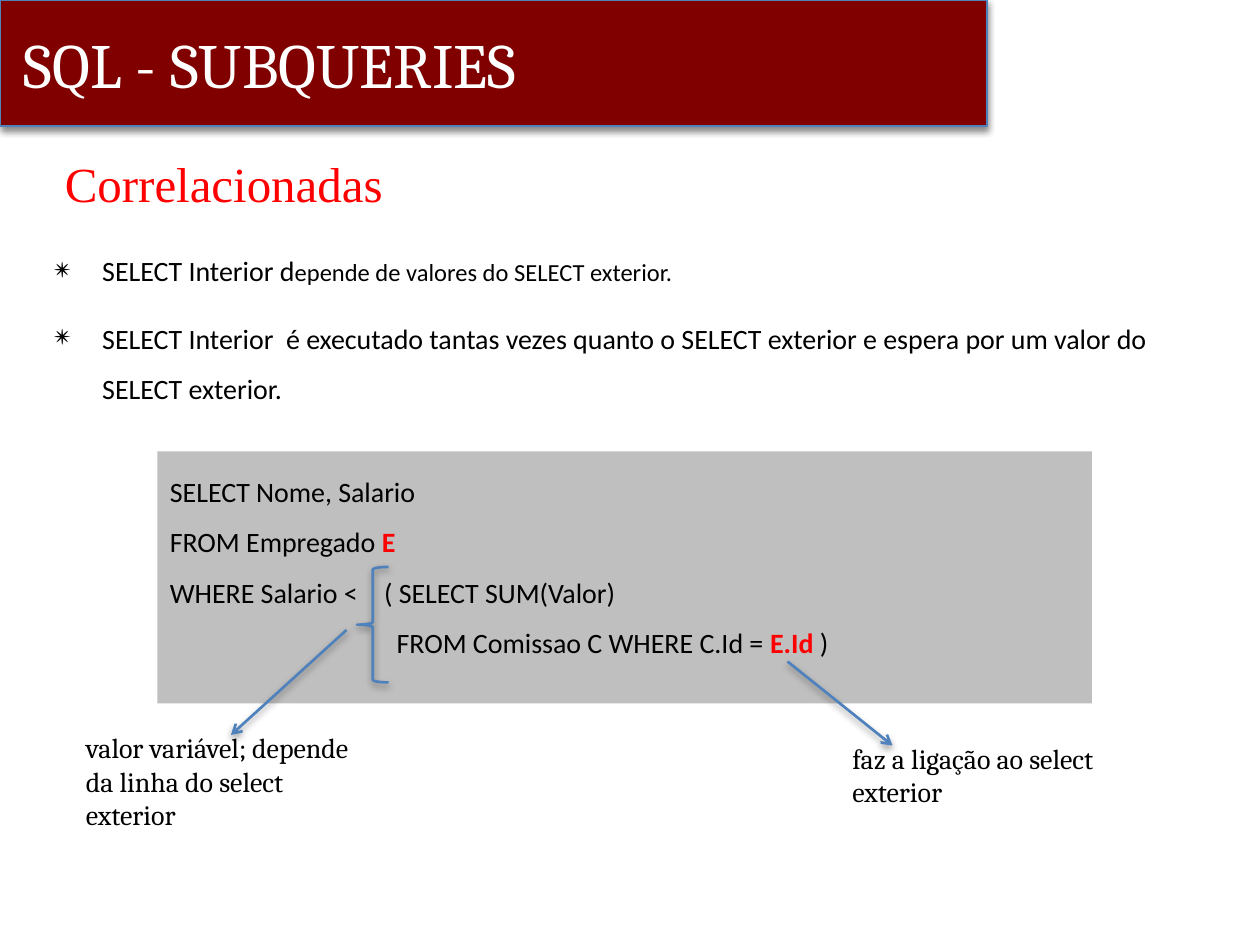
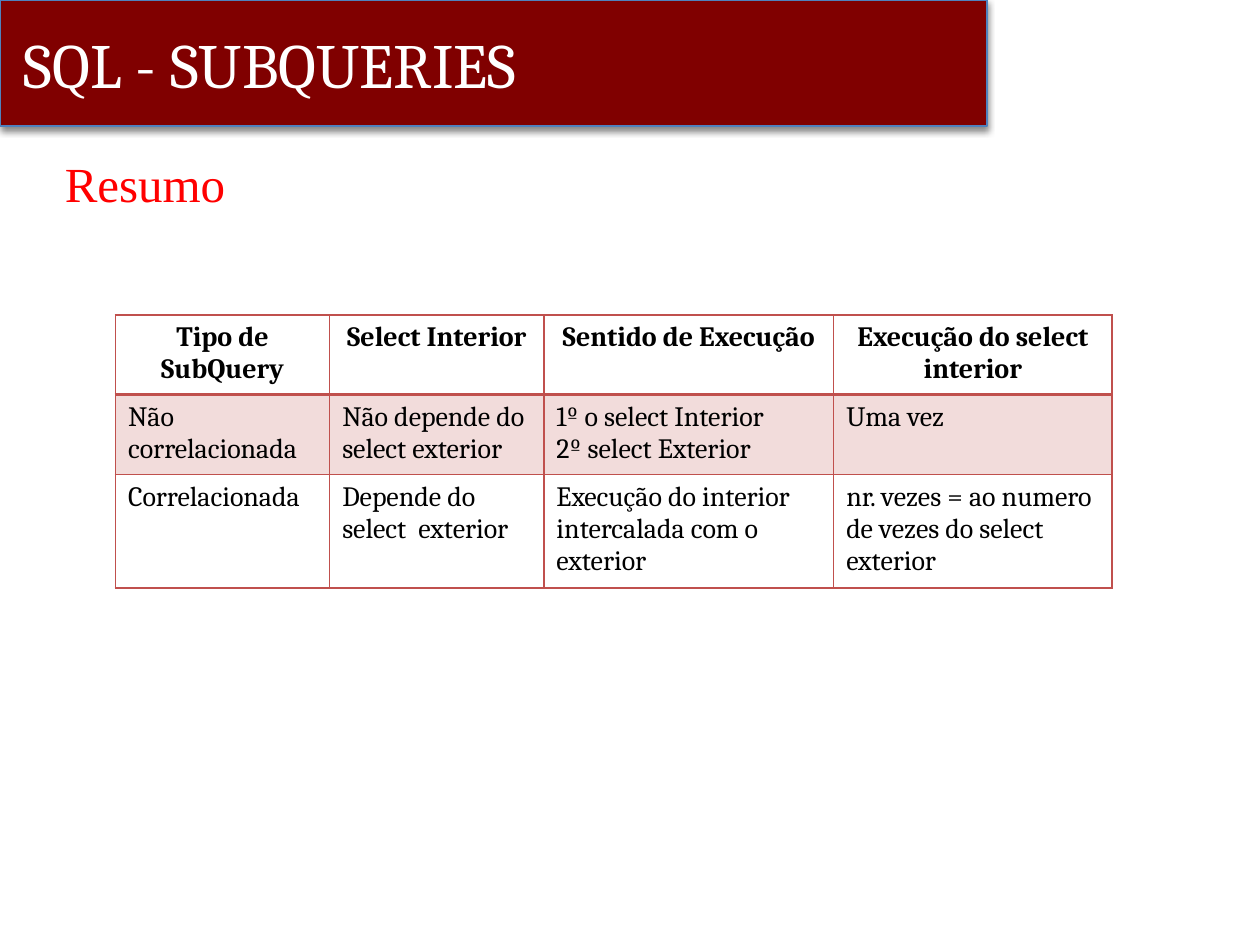
from dataclasses import dataclass
from lxml.etree import SubElement
from pptx import Presentation
from pptx.dml.color import RGBColor
from pptx.enum.shapes import MSO_CONNECTOR, MSO_SHAPE
from pptx.enum.text import MSO_ANCHOR, PP_ALIGN
from pptx.oxml.ns import qn
from pptx.util import Emu, Inches, Pt


@dataclass(frozen=True)
class Theme:
    band: str = "800000"
    accent: str = "4F81BD"
    heading: str = "FF0000"
    text: str = "000000"
    on_band: str = "FFFFFF"
    code_panel: str = "BFBFBF"
    rule: str = "C0504D"
    tinted_row: str = "F2DCDB"
    serif: str = "Cambria"
    sans: str = "Calibri"
    heading_font: str = "Times New Roman"
    band_size: int = 36
    heading_size: int = 28
    body_size: int = 16
    small_size: int = 14


THEME = Theme()
COLUMNS, ROWS = 120, 90
WIDTH, HEIGHT = Inches(10), Inches(7.5)

COURSE_TITLE = "SQL - SUBQUERIES"
BAND_AREA = (0, 0, 94, 12)
HEADING_AREA = (5, 14, 108, 12)

SMALL = {"size": THEME.small_size}
KEY = {"colour": THEME.heading, "bold": True}

CORRELATED = {
    "heading": "Correlacionadas",
    "points_area": (4, 22, 108, 19),
    "points": [
        [("SELECT Interior d", {}), ("epende de valores do SELECT exterior.", SMALL)],
        [("SELECT Interior  é executado tantas vezes quanto o SELECT exterior "
          "e espera por um valor do SELECT exterior.", {})],
    ],
    "query_area": (15, 43, 89, 24),
    "query": [
        (None, [("SELECT Nome, Salario", {})]),
        (None, [("FROM Empregado ", {}), ("E", KEY)]),
        (1.7, [("WHERE Salario <\t( SELECT SUM(Valor)", {})]),
        (1.8, [("\tFROM Comissao C WHERE C.Id = ", {}), ("E.Id ", KEY), (")", {})]),
    ],
    "inner_select_brace": (34, 54, 3, 11),
    "notes": [
        {"text": "faz a ligação ao select exterior",
         "area": (80, 70, 27, 8), "arrow": ((75, 63), (85, 71))},
        {"text": "valor variável; depende da linha do select exterior",
         "area": (7, 69, 28, 11), "arrow": ((33, 60), (22, 70))},
    ],
}

SUMMARY = {
    "heading": "Resumo",
    "area": (11, 30, 95, 25),
    "column_widths": (1.7, 1.7, 2.3, 2.21),
    "row_heights": (0.61, 0.61, 0.87),
    "rows": [
        ["Tipo de SubQuery", "Select Interior", "Sentido de Execução",
         "Execução do select interior"],
        ["Não correlacionada", "Não depende do select exterior",
         "1º o select Interior\n2º select Exterior", "Uma vez"],
        ["Correlacionada", "Depende do select  exterior",
         "Execução do interior intercalada com o exterior",
         "nr. vezes = ao numero de vezes do select exterior"],
    ],
}


def point(column, row):
    return Emu(WIDTH * column // COLUMNS), Emu(HEIGHT * row // ROWS)


def place(area):
    return *point(*area[:2]), *point(*area[2:])


def rgb(colour):
    return RGBColor.from_string(colour)


def style(run, font, size=THEME.body_size, colour=THEME.text, bold=False):
    run.font.name = font
    run.font.size = Pt(size)
    run.font.color.rgb = rgb(colour)
    run.font.bold = bold


def style_all(frame, font, **look):
    for paragraph in frame.paragraphs:
        for run in paragraph.runs:
            style(run, font, **look)


def write_lines(frame, lines):
    for number, pieces in enumerate(lines):
        paragraph = frame.add_paragraph() if number else frame.paragraphs[0]
        paragraph.alignment = PP_ALIGN.LEFT
        paragraph.line_spacing = 1.5
        for text, look in pieces:
            run = paragraph.add_run()
            run.text = text
            style(run, THEME.sans, **look)
        yield paragraph


def add_shadow(shape, alpha, blur):
    effects = shape._element.spPr.find(qn("a:effectLst"))
    if effects is None:
        effects = SubElement(shape._element.spPr, qn("a:effectLst"))
    shadow = SubElement(effects, qn("a:outerShdw"), blurRad=str(Pt(blur)),
                        dist=str(Pt(2)), dir="5400000", rotWithShape="0")
    black = SubElement(shadow, qn("a:srgbClr"), val="000000")
    SubElement(black, qn("a:alpha"), val=str(alpha * 1000))


def add_outline(shape, width):
    shape.line.color.rgb = rgb(THEME.accent)
    shape.line.width = Pt(width)


def add_panel(slide, area, fill, kind=MSO_SHAPE.RECTANGLE):
    panel = slide.shapes.add_shape(kind, *place(area))
    panel.shadow.inherit = False
    if fill:
        panel.fill.solid()
        panel.fill.fore_color.rgb = rgb(fill)
    else:
        panel.fill.background()
    panel.line.fill.background()
    return panel


def add_text(slide, area, text=""):
    frame = slide.shapes.add_textbox(*place(area)).text_frame
    frame.word_wrap = True
    frame.text = text
    return frame


def add_arrow(slide, start, end):
    arrow = slide.shapes.add_connector(MSO_CONNECTOR.STRAIGHT, *point(*start), *point(*end))
    add_outline(arrow, 1.5)
    SubElement(arrow.line._get_or_add_ln(), qn("a:tailEnd"), type="arrow")
    add_shadow(arrow, 40, 4.1)


def start_slide(deck, heading):
    slide = deck.slides.add_slide(deck.slide_layouts[6])
    band = add_panel(slide, BAND_AREA, THEME.band)
    add_outline(band, 0.75)
    add_shadow(band, 45, 4)
    frame = band.text_frame
    frame.margin_left = Inches(0.19)
    frame.vertical_anchor = MSO_ANCHOR.MIDDLE
    frame.text = COURSE_TITLE
    frame.paragraphs[0].alignment = PP_ALIGN.LEFT
    style_all(frame, THEME.serif, size=THEME.band_size, colour=THEME.on_band)
    style_all(add_text(slide, HEADING_AREA, heading), THEME.heading_font,
              size=THEME.heading_size, colour=THEME.heading)
    return slide


def add_points(slide, area, points):
    for number, paragraph in enumerate(write_lines(add_text(slide, area), points)):
        if number:
            paragraph.space_before = Pt(9.75)
        properties = paragraph._p.get_or_add_pPr()
        properties.set("marL", str(Inches(0.38)))
        properties.set("indent", str(-Inches(0.38)))
        SubElement(properties, qn("a:buChar"), char="✴")


def add_query(slide, area, query):
    frame = add_panel(slide, area, THEME.code_panel).text_frame
    frame.word_wrap = True
    frame.vertical_anchor = MSO_ANCHOR.TOP
    paragraphs = write_lines(frame, [pieces for _, pieces in query])
    for (stop, _), paragraph in zip(query, paragraphs):
        if stop:
            stops = SubElement(paragraph._p.get_or_add_pPr(), qn("a:tabLst"))
            SubElement(stops, qn("a:tab"), pos=str(Inches(stop)), algn="l")


def build_correlated(deck):
    slide = start_slide(deck, CORRELATED["heading"])
    add_points(slide, CORRELATED["points_area"], CORRELATED["points"])
    add_query(slide, CORRELATED["query_area"], CORRELATED["query"])
    for note in CORRELATED["notes"]:
        add_arrow(slide, *note["arrow"])
        style_all(add_text(slide, note["area"], note["text"]), THEME.serif)
    brace = add_panel(slide, CORRELATED["inner_select_brace"], None, MSO_SHAPE.LEFT_BRACE)
    add_outline(brace, 1.5)
    add_shadow(brace, 40, 4.1)


def add_borders(cell, top, bottom):
    properties = cell._tc.get_or_add_tcPr()
    for side, width in (("L", 1), ("R", 1), ("T", top), ("B", bottom)):
        border = SubElement(properties, qn(f"a:ln{side}"), w=str(Pt(width)))
        fill = SubElement(border, qn("a:solidFill"))
        SubElement(fill, qn("a:srgbClr"), val=THEME.rule)


def build_summary(deck):
    slide = start_slide(deck, SUMMARY["heading"])
    rows = SUMMARY["rows"]
    table = slide.shapes.add_table(len(rows), len(rows[0]), *place(SUMMARY["area"])).table
    table.horz_banding = False
    for column, width in zip(table.columns, SUMMARY["column_widths"]):
        column.width = Inches(width)
    for row, height in zip(table.rows, SUMMARY["row_heights"]):
        row.height = Inches(height)
    for number, texts in enumerate(rows):
        is_header = number == 0
        for cell, text in zip(table.rows[number].cells, texts):
            cell.text_frame.text = text
            style_all(cell.text_frame, THEME.serif, bold=is_header)
            if is_header:
                cell.text_frame.paragraphs[0].alignment = PP_ALIGN.CENTER
            add_borders(cell, 2 if number == 1 else 1, 2 if is_header else 1)
            if number % 2:
                cell.fill.solid()
                cell.fill.fore_color.rgb = rgb(THEME.tinted_row)
            else:
                cell.fill.background()


def main():
    deck = Presentation()
    deck.slide_width, deck.slide_height = WIDTH, HEIGHT
    build_correlated(deck)
    build_summary(deck)
    deck.save("out.pptx")


if __name__ == "__main__":
    main()
